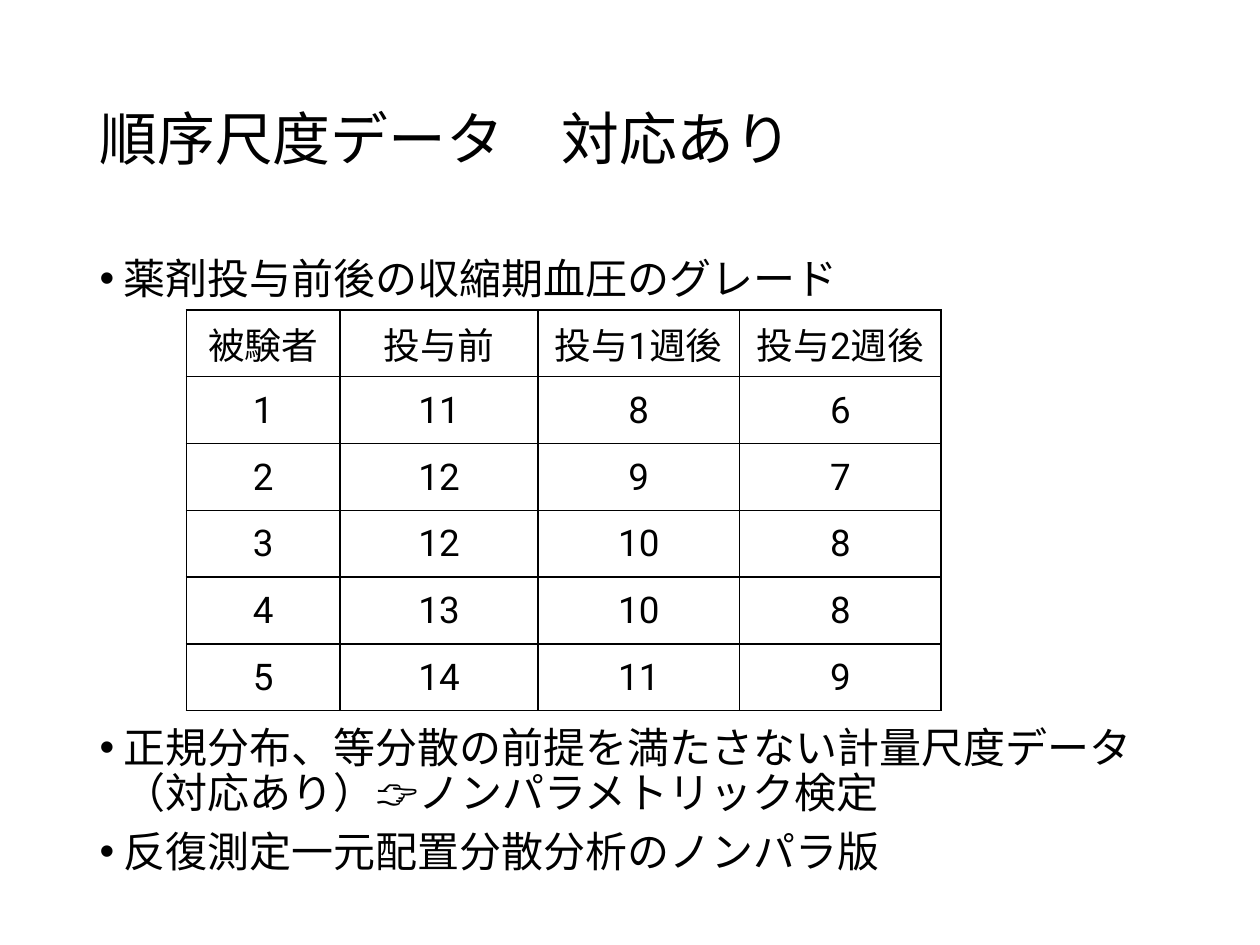
import pptx
import pptx.util
import pptx.dml.color
import pptx.enum.text
import pptx.oxml
import pptx.oxml.ns
from pptx.util import Inches

COLORS = {"text": "000000", "border": "000000", "paper": "FFFFFF"}
CJK_FONT = "Noto Sans CJK JP"
TABLE_FONT = "Roboto"
ALIGN = pptx.enum.text.PP_ALIGN
MIDDLE = pptx.enum.text.MSO_ANCHOR.MIDDLE
A_NS = pptx.oxml.ns.nsdecls("a")


def write(paragraph, text, size, font=CJK_FONT, align=ALIGN.LEFT,
          line_spacing=None, space_before=0, bullet=False):
    """Fill a paragraph with one formatted run."""
    if bullet:
        properties = paragraph._p.get_or_add_pPr()
        properties.set("marL", str(Inches(0.19)))
        properties.set("indent", str(Inches(-0.19)))
        for mark in ('<a:buFont %s typeface="Arial"/>', '<a:buChar %s char="•"/>'):
            properties.append(pptx.oxml.parse_xml(mark % A_NS))
    paragraph.alignment = align
    paragraph.line_spacing = line_spacing
    paragraph.space_before = pptx.util.Pt(space_before)
    run = paragraph.add_run()
    run.text = text
    run.font.size = pptx.util.Pt(size)
    run.font.name = font
    run.font.color.rgb = pptx.dml.color.RGBColor.from_string(COLORS["text"])
    run.font._element.append(
        pptx.oxml.parse_xml(f'<a:ea {A_NS} typeface="{CJK_FONT}"/>'))


deck = pptx.Presentation()
deck.slide_width, deck.slide_height = Inches(10), Inches(7.5)
slide = deck.slides.add_slide(deck.slide_layouts[1])
slide.background.fill.solid()
slide.background.fill.fore_color.rgb = pptx.dml.color.RGBColor.from_string(COLORS["paper"])

# Title and body areas
title, body = slide.shapes.title, slide.placeholders[1]
for area, top, height in ((title, 0.4, 1.45), (body, 2, 5.29)):
    area.left, area.top = Inches(0.69), Inches(top)
    area.width, area.height = Inches(8.62), Inches(height)
    area.text_frame.word_wrap = True
    area.text_frame.auto_size = pptx.enum.text.MSO_AUTO_SIZE.NONE

title.text_frame.vertical_anchor = MIDDLE
write(title.text_frame.paragraphs[0], "順序尺度データ　対応あり", size=33, line_spacing=0.9)

# Bullets, with room for the table after the first one
bullets = [
    ("薬剤投与前後の収縮期血圧のグレード", 0),
    ("正規分布、等分散の前提を満たさない計量尺度データ（対応あり）👉ノンパラメトリック検定", 242),
    ("反復測定一元配置分散分析のノンパラ版", 7.5),
]
for index, (sentence, gap) in enumerate(bullets):
    frame = body.text_frame
    paragraph = frame.add_paragraph() if index else frame.paragraphs[0]
    write(paragraph, sentence, size=24, line_spacing=0.9, space_before=gap, bullet=True)

# Blood pressure grades
grades = [
    ("被験者", "投与前", "投与1週後", "投与2週後"),
    (1, 11, 8, 6),
    (2, 12, 9, 7),
    (3, 12, 10, 8),
    (4, 13, 10, 8),
    (5, 14, 11, 9),
]
column_widths = (1.22, 1.57, 1.6, 1.6)
row_height = 0.53
grade_table = slide.shapes.add_table(
    len(grades), len(column_widths), Inches(1.48), Inches(2.46),
    Inches(sum(column_widths)), Inches(row_height * len(grades))).table
grade_table.first_row = grade_table.horz_banding = False
for column, width in zip(grade_table.columns, column_widths):
    column.width = Inches(width)

for row, values in zip(grade_table.rows, grades):
    row.height = Inches(row_height)
    for cell, value in zip(row.cells, values):
        cell.fill.background()
        cell.vertical_anchor = MIDDLE
        cell.margin_left = cell.margin_right = cell.margin_top = Inches(0.01)
        cell.margin_bottom = 0
        write(cell.text_frame.paragraphs[0], str(value), size=21,
              font=TABLE_FONT, align=ALIGN.CENTER)
        # Borders come before the fill in the cell properties
        for position, side in enumerate(("lnL", "lnR", "lnT", "lnB")):
            cell._tc.get_or_add_tcPr().insert(position, pptx.oxml.parse_xml(
                f'<a:{side} {A_NS} w="{pptx.util.Pt(1)}"><a:solidFill>'
                f'<a:srgbClr val="{COLORS["border"]}"/></a:solidFill></a:{side}>'))

deck.save("out.pptx")
